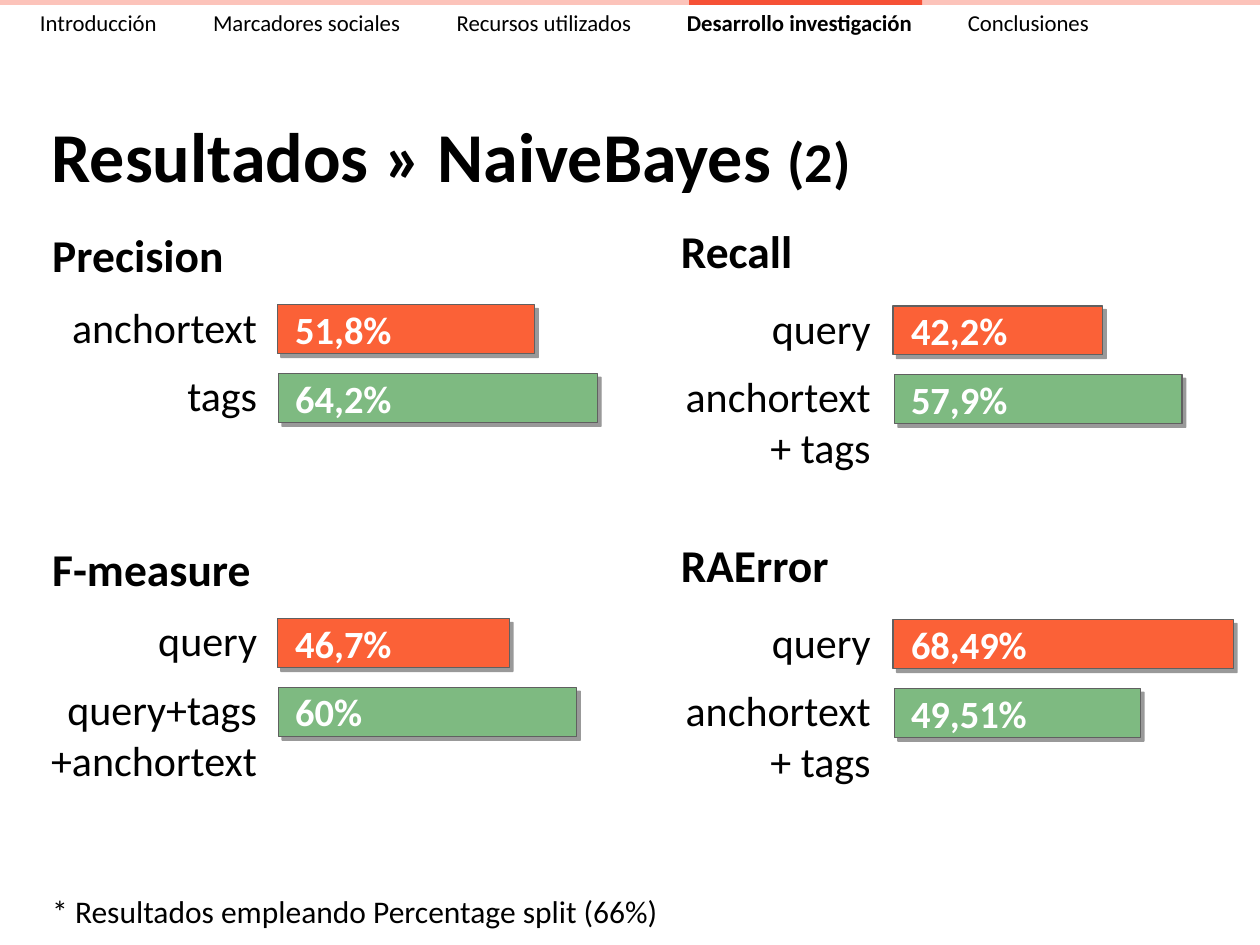
"""Build the NaiveBayes results slide with four two-bar panels."""
from dataclasses import dataclass

import lxml.etree
import pptx
import pptx.dml.color
import pptx.enum.shapes
import pptx.enum.text
import pptx.oxml.ns
import pptx.util

Pt = pptx.util.Pt
RGB = pptx.dml.color.RGBColor
ALIGN = pptx.enum.text.PP_ALIGN
qn = pptx.oxml.ns.qn

BLACK = RGB(0x00, 0x00, 0x00)
WHITE = RGB(0xFF, 0xFF, 0xFF)
ORANGE = RGB(0xFB, 0x61, 0x37)
GREEN = RGB(0x7E, 0xBA, 0x81)
GRAY = RGB(0x60, 0x60, 0x60)
PINK = RGB(0xFC, 0xC3, 0xBA)
RED = RGB(0xF6, 0x51, 0x36)

FONT = "Calibri"
POINTS_PER_PERCENT = 2.84
BAR_HEIGHT = 28
BAR_STEP = 39.3
ROW_STEP = 179.4
BOX_HEIGHT = 43.2
NAV_TABS = (98.9, 238.1, 369.6, 530.2)


@dataclass(frozen=True)
class Column:
    title_x: float
    title_y: float
    bar_x: float
    bar_y: float
    label_right: float


@dataclass(frozen=True)
class Bar:
    label: str
    value: str
    color: RGB
    label_width: float = 123.8

    @property
    def width(self) -> float:
        return POINTS_PER_PERCENT * float(self.value.rstrip("%").replace(",", "."))


@dataclass(frozen=True)
class Panel:
    title: str
    column: Column
    row: int
    bars: tuple[Bar, Bar]


LEFT = Column(22.8, 126, 158.4, 174.2, 154)
RIGHT = Column(382, 123.8, 510.3, 174.8, 504.6)

PANELS = (
    Panel("Precision", LEFT, 0,
          (Bar("anchortext", "51,8%", ORANGE), Bar("tags", "64,2%", GREEN))),
    Panel("Recall", RIGHT, 0,
          (Bar("query", "42,2%", ORANGE), Bar("anchortext + tags", "57,9%", GREEN))),
    Panel("F-measure", LEFT, 1,
          (Bar("query", "46,7%", ORANGE),
           Bar("query+tags\n+anchortext", "60%", GREEN, 175.7))),
    Panel("RAError", RIGHT, 1,
          (Bar("query", "68,49%", ORANGE), Bar("anchortext + tags", "49,51%", GREEN))),
)


def add_run(p, text: str, size: float, color: RGB = BLACK, bold: bool = False) -> None:
    r = p.add_run()
    r.text = text
    r.font.name = FONT
    r.font.size = Pt(size)
    r.font.bold = bold
    r.font.color.rgb = color


def add_box(shapes, x: float, y: float, w: float, h: float):
    tf = shapes.add_textbox(Pt(x), Pt(y), Pt(w), Pt(h)).text_frame
    tf.word_wrap = True
    return tf.paragraphs[0]


def add_text(shapes, x: float, y: float, w: float, h: float, text: str, size: float,
             color: RGB = BLACK, bold: bool = False, align: ALIGN = ALIGN.LEFT) -> None:
    p = add_box(shapes, x, y, w, h)
    p.alignment = align
    for i, line in enumerate(text.split("\n")):
        if i:
            p.add_line_break()
        add_run(p, line, size, color, bold)


def add_rect(shapes, x: float, y: float, w: float, h: float, color: RGB):
    sp = shapes.add_shape(pptx.enum.shapes.MSO_SHAPE.RECTANGLE, Pt(x), Pt(y), Pt(w), Pt(h))
    sp.shadow.inherit = False
    sp.fill.solid()
    sp.fill.fore_color.rgb = color
    sp.line.fill.background()
    return sp


def add_bar(shapes, x: float, y: float, bar: Bar) -> None:
    sp = add_rect(shapes, x, y, bar.width, BAR_HEIGHT, bar.color)
    sp.line.color.rgb = GRAY
    sp.line.width = Pt(0.75)
    effects = sp._element.spPr.find(qn("a:effectLst"))
    shadow = lxml.etree.SubElement(effects, qn("a:outerShdw"), blurRad="0",
                                   dist=str(Pt(3)), dir="2700000",
                                   algn="ctr", rotWithShape="0")
    color = lxml.etree.SubElement(shadow, qn("a:srgbClr"), val=str(BLACK))
    lxml.etree.SubElement(color, qn("a:alpha"), val="40000")


def add_panel(shapes, panel: Panel) -> None:
    col, dy = panel.column, panel.row * ROW_STEP
    add_text(shapes, col.title_x, col.title_y + dy, 134.6, BOX_HEIGHT,
             panel.title, 26, bold=True)
    for i, bar in enumerate(panel.bars):
        y = col.bar_y + dy + i * BAR_STEP
        add_bar(shapes, col.bar_x + i * 0.7, y, bar)
        add_text(shapes, col.bar_x + 3.2, y - 3, 82, BOX_HEIGHT,
                 bar.value, 22, WHITE, True)
        add_text(shapes, col.label_right - bar.label_width, y - 5.7,
                 bar.label_width, BOX_HEIGHT, bar.label, 24, align=ALIGN.RIGHT)


def add_title(s) -> None:
    sp = s.shapes.title
    sp.left, sp.top, sp.width, sp.height = Pt(22.3), Pt(61.9), Pt(692), Pt(53.3)
    tf = sp.text_frame
    tf.vertical_anchor = pptx.enum.text.MSO_ANCHOR.MIDDLE
    p = tf.paragraphs[0]
    p.alignment = ALIGN.LEFT
    add_run(p, "Resultados » NaiveBayes ", 40, bold=True)
    add_run(p, "(2)", 32, bold=True)


def add_nav(s) -> None:
    shapes = s.shapes.add_group_shape().shapes
    add_rect(shapes, 0, 0, 720, 2.9, PINK)
    p = add_box(shapes, 15.8, 1.4, 695, 23)
    tabs = lxml.etree.SubElement(p._p.get_or_add_pPr(), qn("a:tabLst"))
    for pos in NAV_TABS:
        lxml.etree.SubElement(tabs, qn("a:tab"), pos=str(Pt(pos)), algn="l")
    add_run(p, "Introducción\tMarcadores sociales\tRecursos utilizados\t", 13)
    add_run(p, "Desarrollo investigación\t", 13, bold=True)
    add_run(p, "Conclusiones", 13)
    add_rect(shapes, 393.8, 0, 133.2, 2.9, RED)


def main() -> None:
    prs = pptx.Presentation()
    prs.slide_width, prs.slide_height = Pt(720), Pt(540)
    s = prs.slides.add_slide(prs.slide_layouts.get_by_name("Title Only"))
    add_title(s)
    for panel in PANELS:
        add_panel(s.shapes, panel)
    add_text(s.shapes, 22.8, 506.2, 674.6, 28,
             "* Resultados empleando Percentage split (66%)", 18)
    add_nav(s)
    prs.save("out.pptx")


if __name__ == "__main__":
    main()
